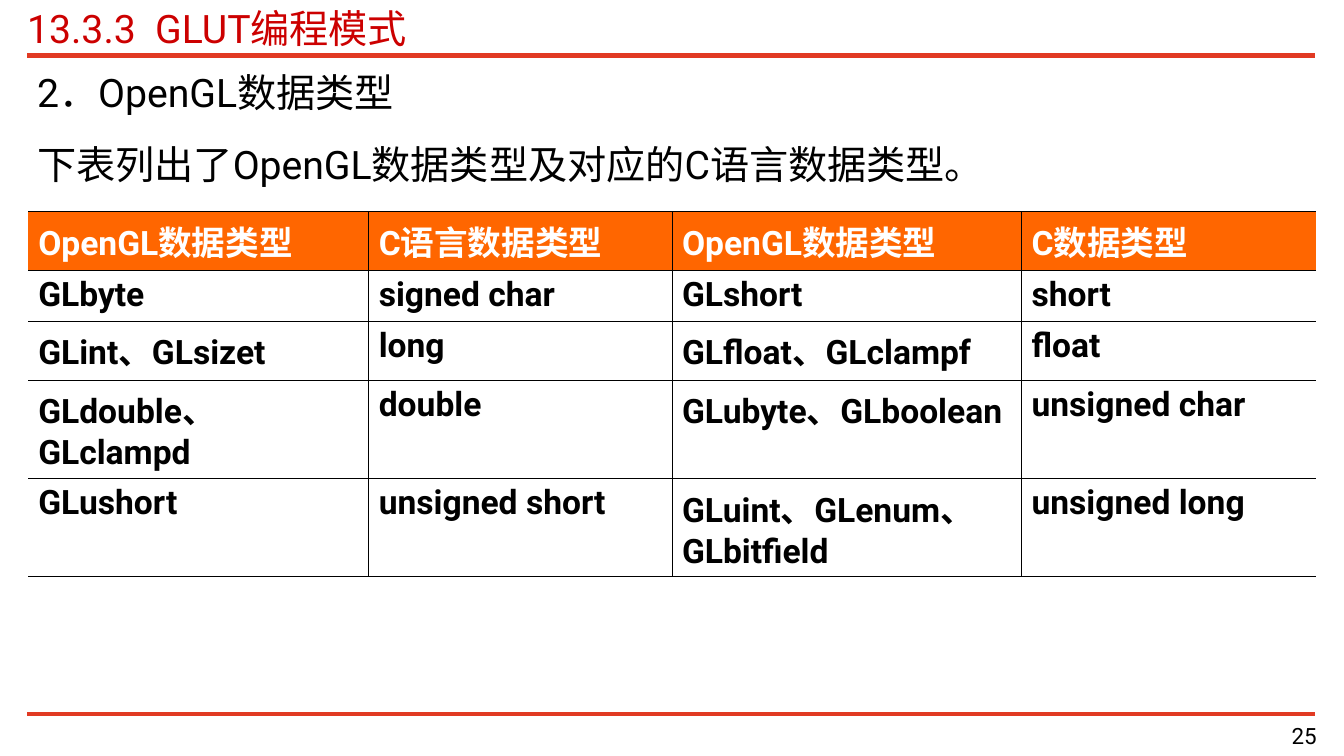
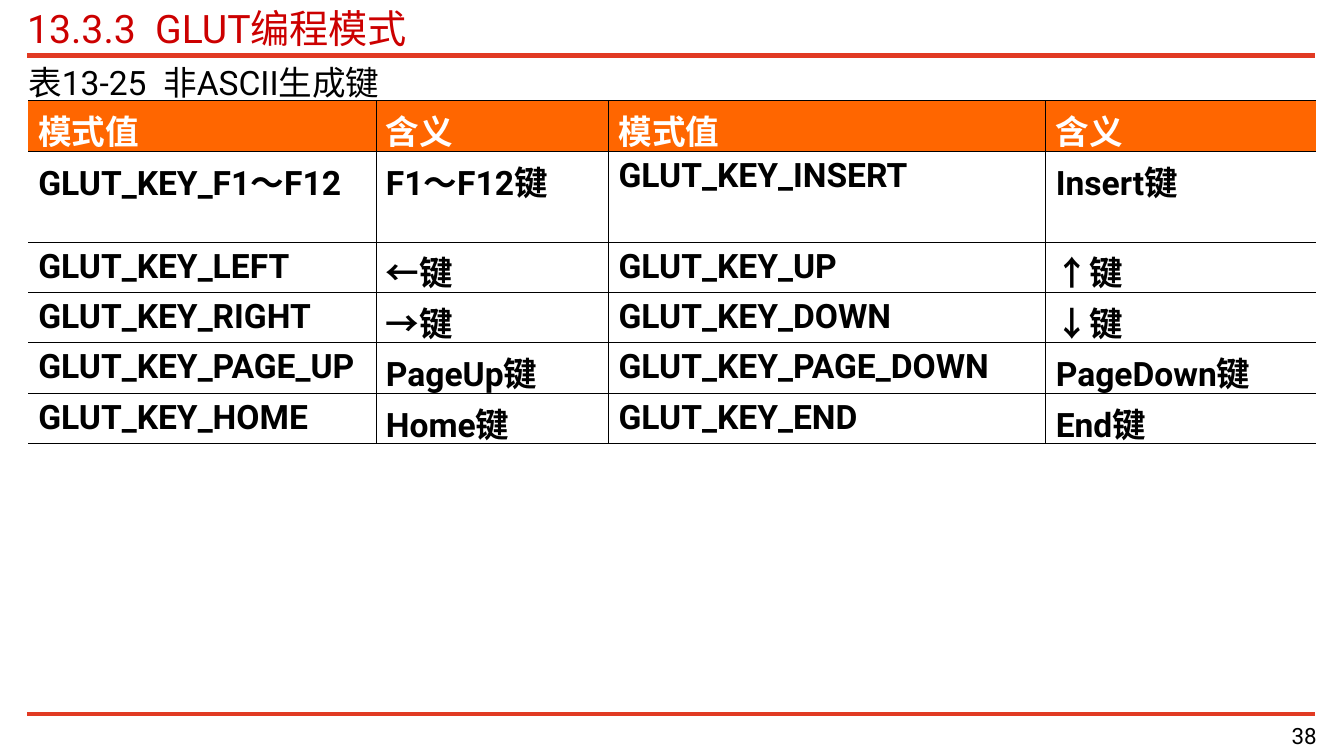
from pptx import Presentation
from pptx.dml.color import RGBColor
from pptx.enum.shapes import MSO_CONNECTOR
from pptx.enum.text import MSO_ANCHOR, MSO_AUTO_SIZE, PP_ALIGN
from pptx.oxml.ns import qn
from pptx.util import Inches, Pt
from lxml.etree import SubElement

RULE_RED = RGBColor(0xE1, 0x3A, 0x23)
TITLE_RED = RGBColor(0xCC, 0x00, 0x00)
HEADER_ORANGE = RGBColor(0xFF, 0x66, 0x00)
BLACK = RGBColor(0x00, 0x00, 0x00)
WHITE = RGBColor(0xFF, 0xFF, 0xFF)
FONT = "Roboto"
LEFT, WIDTH = Inches(0.27), Inches(12.78)
THIN, THICK = Pt(0.45), Pt(0.62)

# A negative cell_bottom lets tall Chinese lines fit the stated row heights
PAGES = [
    dict(
        number="25",
        intro=["2．OpenGL数据类型", "下表列出了OpenGL数据类型及对应的C语言数据类型。"],
        intro_top=0.63, intro_height=1.4, intro_size=28, intro_inset=(0.1, 0.05),
        table_top=2.1, table_height=3.29, cell_bottom=0.05,
        columns=[3.38, 3.01, 3.47, 2.92],
        row_heights=[0.5, 0.5, 0.5, 0.9, 0.9],
        rows=[
            ["OpenGL数据类型", "C语言数据类型", "OpenGL数据类型", "C数据类型"],
            ["GLbyte", "signed char", "GLshort", "short"],
            ["GLint、GLsizet", "long", "GLfloat、GLclampf", "float"],
            ["GLdouble、GLclampd", "double", "GLubyte、GLboolean", "unsigned char"],
            ["GLushort", "unsigned short", "GLuint、GLenum、GLbitfield", "unsigned long"],
        ],
    ),
    dict(
        number="38",
        intro=["表13-25  非ASCII生成键"],
        intro_top=0.61, intro_height=0.4, intro_size=24, intro_inset=(0.01, 0),
        table_top=1, table_height=3.4, cell_bottom=-0.04,
        columns=[3.45, 2.31, 4.34, 2.68],
        row_heights=[0.5, 0.9, 0.5, 0.5, 0.5, 0.5],
        rows=[
            ["模式值", "含义", "模式值", "含义"],
            ["GLUT_KEY_F1～F12", "F1～F12键", "GLUT_KEY_INSERT", "Insert键"],
            ["GLUT_KEY_LEFT", "←键", "GLUT_KEY_UP", "↑键"],
            ["GLUT_KEY_RIGHT", "→键", "GLUT_KEY_DOWN", "↓键"],
            ["GLUT_KEY_PAGE_UP", "PageUp键", "GLUT_KEY_PAGE_DOWN", "PageDown键"],
            ["GLUT_KEY_HOME", "Home键", "GLUT_KEY_END", "End键"],
        ],
    ),
]


def write(frame, lines, size, color, inset=(0, 0), align=PP_ALIGN.LEFT):
    """Fill a text frame with paragraphs of one style."""
    frame.word_wrap = True
    frame.auto_size = MSO_AUTO_SIZE.NONE
    frame.margin_left = frame.margin_right = Inches(inset[0])
    frame.margin_top = frame.margin_bottom = Inches(inset[1])
    frame.text = "\n".join(lines)
    for index, paragraph in enumerate(frame.paragraphs):
        paragraph.alignment = align
        if index:
            paragraph.space_before = Pt(17.5)
        paragraph.font.name = FONT
        paragraph.font.size = Pt(size)
        paragraph.font.color.rgb = color


def set_borders(cell, widths):
    """Set left, right, top and bottom border; None leaves a side open."""
    properties = cell._tc.get_or_add_tcPr()
    for side, width in zip("LRTB", widths):
        border = SubElement(properties, qn(f"a:ln{side}"))
        if width is None:
            SubElement(border, qn("a:noFill"))
        else:
            border.set("w", str(int(width)))
            fill = SubElement(border, qn("a:solidFill"))
            SubElement(fill, qn("a:srgbClr")).set("val", str(BLACK))


prs = Presentation()
prs.slide_width, prs.slide_height = Inches(13.34), Inches(7.5)
layout = prs.slide_layouts.get_by_name("Title Only")
slides = [prs.slides.add_slide(layout) for _ in PAGES]

# Both rules belong to the layout, so every slide inherits them
for rule_id, (y, weight) in enumerate([(0.55, 4), (7.08, 3)], start=20):
    rule = slides[0].shapes.add_connector(
        MSO_CONNECTOR.STRAIGHT, LEFT, Inches(y), LEFT + WIDTH, Inches(y))
    rule.line.color.rgb = RULE_RED
    rule.line.width = Pt(weight)
    SubElement(rule.element.spPr, qn("a:effectLst"))
    rule.element.nvCxnSpPr.cNvPr.set("id", str(rule_id))
    layout.element.cSld.spTree.append(rule.element)

for slide, page in zip(slides, PAGES):
    title = slide.shapes.title
    title.left, title.top, title.width, title.height = LEFT, Inches(0.04), WIDTH, Inches(0.47)
    write(title.text_frame, ["13.3.3  GLUT编程模式"], 28, TITLE_RED)
    title.text_frame.vertical_anchor = MSO_ANCHOR.MIDDLE

    intro = slide.shapes.add_textbox(
        LEFT, Inches(page["intro_top"]), WIDTH, Inches(page["intro_height"]))
    write(intro.text_frame, page["intro"], page["intro_size"], BLACK, page["intro_inset"])

    rows, columns = page["rows"], page["columns"]
    table_frame = slide.shapes.add_table(
        len(rows), len(columns), Inches(0.28), Inches(page["table_top"]),
        WIDTH, Inches(page["table_height"]))
    table = table_frame.table
    table.first_row = table.horz_banding = False
    for column, width in zip(table.columns, columns):
        column.width = Inches(width)
    for row, height in zip(table.rows, page["row_heights"]):
        row.height = Inches(height)
    table_frame.height = Inches(page["table_height"])

    last_row, last_column = len(rows) - 1, len(columns) - 1
    for r, texts in enumerate(rows):
        for c, text in enumerate(texts):
            cell = table.cell(r, c)
            set_borders(cell, [
                THIN if c > 0 else None,
                THIN if c < last_column else None,
                THICK if r <= 1 else THIN,
                THICK if r in (0, last_row) else THIN,
            ])
            if r == 0:
                cell.fill.solid()
                cell.fill.fore_color.rgb = HEADER_ORANGE
            else:
                cell.fill.background()
            cell.margin_bottom = Inches(page["cell_bottom"])
            cell.text = text
            font = cell.text_frame.paragraphs[0].font
            font.name, font.size, font.bold = FONT, Pt(24), True
            font.color.rgb = WHITE if r == 0 else BLACK

    page_number = slide.shapes.add_textbox(
        Inches(10.39), Inches(7.16), Inches(2.68), Inches(0.31))
    write(page_number.text_frame, [page["number"]], 16, BLACK, align=PP_ALIGN.RIGHT)

prs.save("out.pptx")
